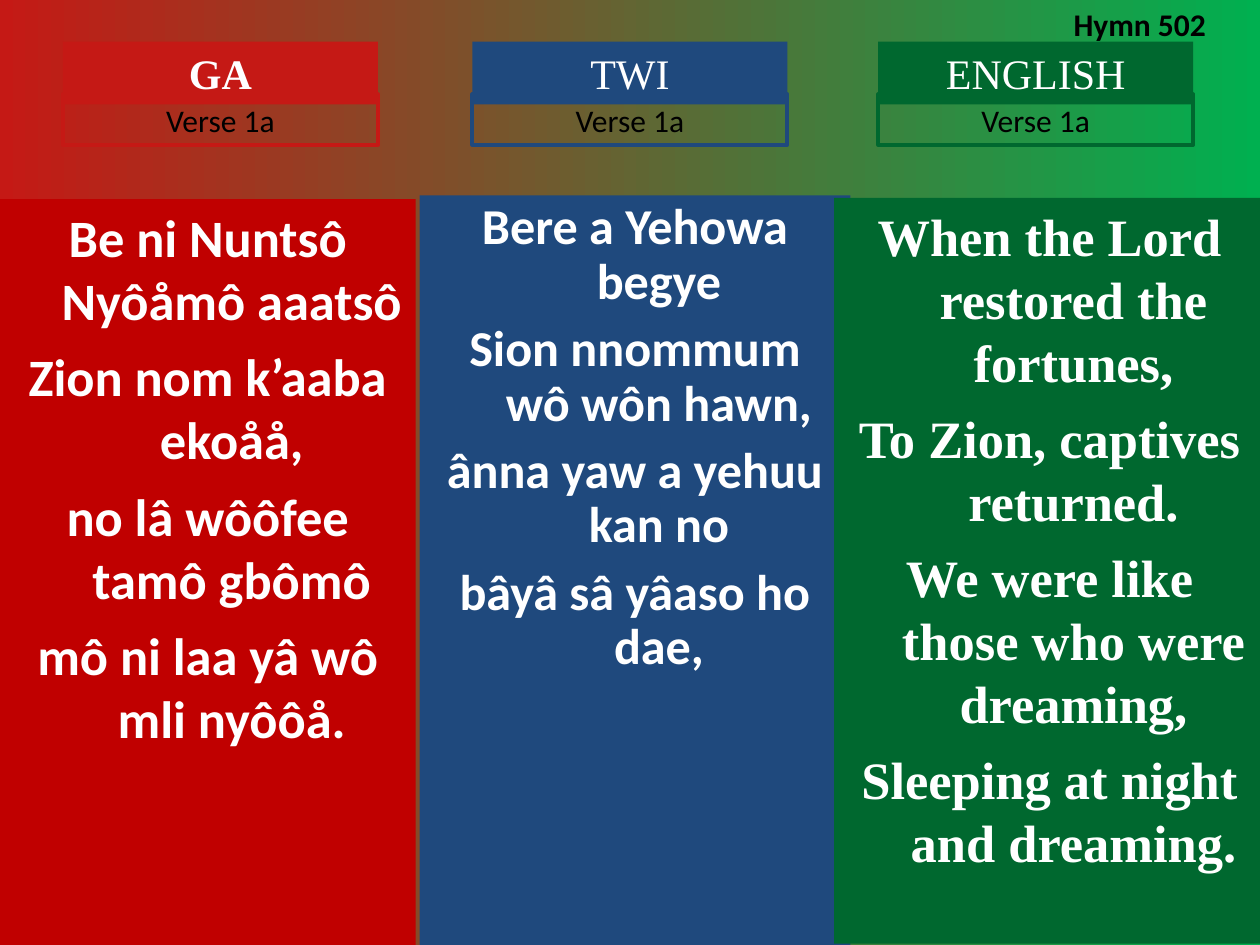
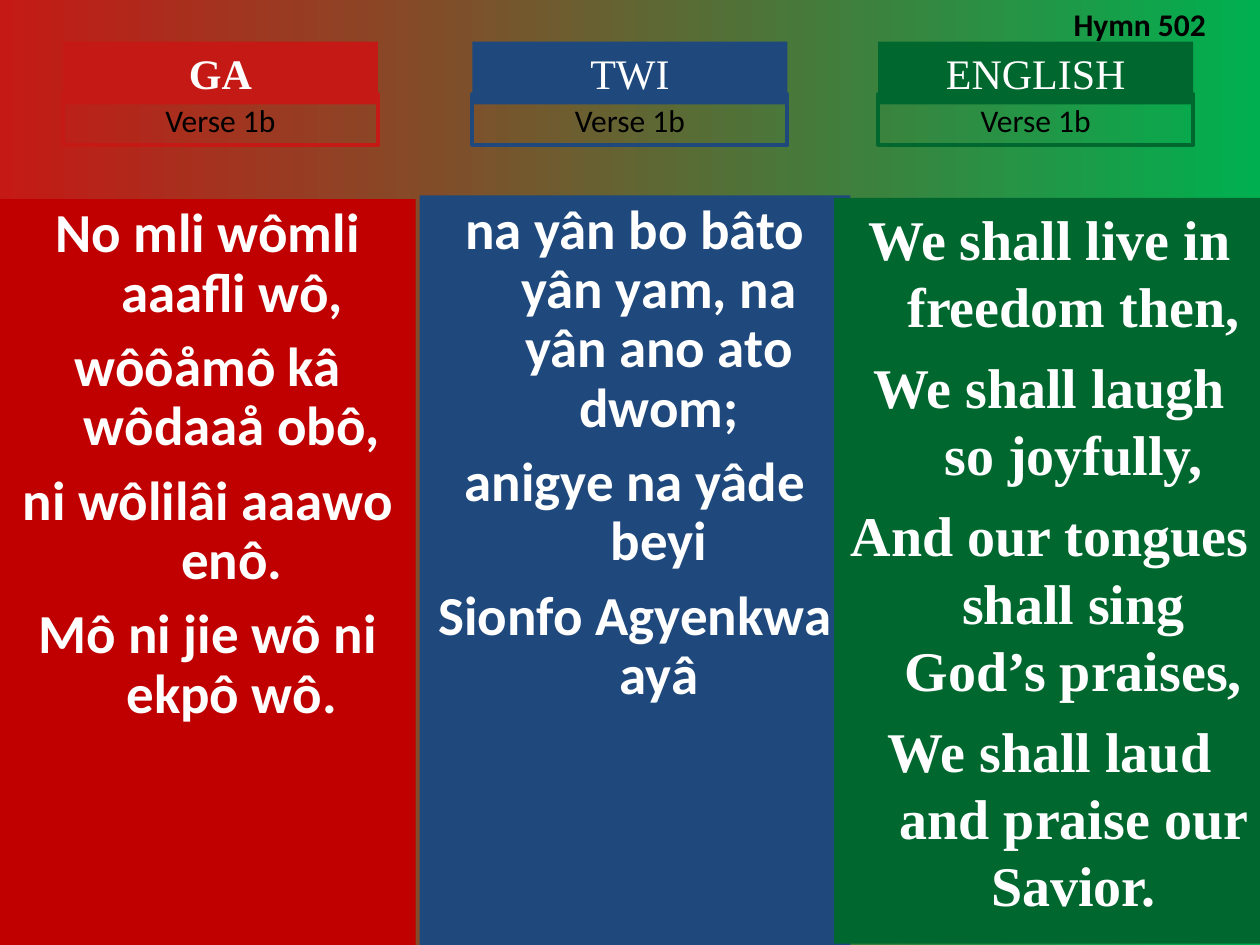
"""Build two hymn slides with the verses in three languages side by side."""
from dataclasses import dataclass

from pptx import Presentation
from pptx import util as u
from pptx.dml.color import RGBColor
from pptx.enum import shapes, text


@dataclass(frozen=True)
class Theme:
    """Colours, fonts and type sizes shared by the slides."""
    start: str = "C51915"
    end: str = "00B050"
    red: str = "C00000"
    blue: str = "1F497D"
    green: str = "00682F"
    white: str = "FFFFFF"
    black: str = "000000"
    sans: str = "Calibri"
    serif: str = "Times New Roman"
    head: float = 24
    small: float = 18
    rule: float = 2.25
    hang: float = 0.38


@dataclass(frozen=True)
class Lang:
    """One language column: its heading, colours, font and boxes."""
    name: str
    tint: str
    fill: str
    font: str
    bold: bool
    left: float
    body: tuple


T = Theme()

LANGS = (
    Lang("GA", T.start, T.red, T.sans, True, 0.5, (0, 1.58, 3.3, 5.92)),
    Lang("TWI", T.blue, T.blue, T.sans, False, 3.75, (3.33, 1.55, 3.42, 5.95)),
    Lang("ENGLISH", T.green, T.green, T.serif, False, 6.97, (6.62, 1.57, 3.42, 5.92)),
)

VERSES = (
    ("Verse 1a", (
        (30, 1, ("Be ni Nuntsô Nyôåmô aaatsô", "Zion nom k’aaba ekoåå,",
                 "no lâ wôôfee tamô gbômô", "mô ni laa yâ wô mli nyôôå.")),
        (28.7, 0.9, ("Bere a Yehowa begye", "Sion nnommum wô wôn hawn,",
                     "ânna yaw a yehuu kan no", "bâyâ sâ yâaso ho dae,")),
        (30, 1, ("When the Lord restored the fortunes,",
                 "To Zion, captives returned.",
                 "We were like those who were dreaming,",
                 "Sleeping at night and dreaming.")),
    )),
    ("Verse 1b", (
        (31.4, 0.9, ("No mli wômli aaafli wô,", "wôôåmô kâ wôdaaå obô,",
                     "ni wôlilâi aaawo enô.", "Mô ni jie wô ni ekpô wô.")),
        (31.4, 0.9, ("na yân bo bâto yân yam, na yân ano ato dwom;",
                     "anigye na yâde beyi", "Sionfo Agyenkwa ayâ")),
        (32, 1, ("We shall live in freedom then,", "We shall laugh so joyfully,",
                 "And our tongues shall sing God’s praises,",
                 "We shall laud and praise our Savior.")),
    )),
)


def rgb(code):
    """Turn a hex code into a colour."""
    return RGBColor.from_string(code)


def place(shape, box):
    """Move a shape to a box and start its text at the top."""
    shape.left, shape.top, shape.width, shape.height = map(u.Inches, box)
    frame = shape.text_frame
    frame.word_wrap = True
    frame.auto_size = text.MSO_AUTO_SIZE.NONE
    frame.vertical_anchor = text.MSO_ANCHOR.TOP


def write(para, words, size, font, color, bold=False, align=text.PP_ALIGN.CENTER):
    """Add one run to a paragraph."""
    para.alignment = align
    run = para.add_run()
    run.text = words
    run.font.size = u.Pt(size)
    run.font.name = font
    run.font.bold = bold
    run.font.color.rgb = rgb(color)


def block(slide, box, fill=None, line=None):
    """Draw a plain rectangle with an optional fill and line."""
    shape = slide.shapes.add_shape(shapes.MSO_SHAPE.RECTANGLE, 0, 0, 0, 0)
    place(shape, box)
    shape.shadow.inherit = False
    if fill:
        shape.fill.solid()
        shape.fill.fore_color.rgb = rgb(fill)
    else:
        shape.fill.background()
    if line:
        shape.line.color.rgb = rgb(line)
        shape.line.width = u.Pt(T.rule)
    else:
        shape.line.fill.background()
    return shape.text_frame


def lyrics(slide, lang, size, pitch, lines):
    """Fill a language panel with lines that hang from their first word."""
    frame = block(slide, lang.body, lang.fill)
    gap = round(size * (0.25 if pitch == 1 else 0.27), 1)
    for row, words in enumerate(lines):
        para = frame.add_paragraph() if row else frame.paragraphs[0]
        props = para._p.get_or_add_pPr()
        props.set("marL", str(u.Inches(T.hang)))
        props.set("indent", str(u.Inches(-T.hang)))
        para.line_spacing = pitch
        para.space_before = u.Pt(gap if row else 0)
        write(para, words, size, lang.font, T.white, True)


def header(slide, lang, verse):
    """Draw a language heading with the verse label below it."""
    name = block(slide, (lang.left, 0.33, 2.5, 0.5), lang.tint)
    write(name.paragraphs[0], lang.name, T.head, T.serif, T.white, lang.bold)
    label = block(slide, (lang.left, 0.75, 2.5, 0.4), line=lang.tint)
    write(label.paragraphs[0], verse, T.small, T.sans, T.black)


def title(slide, words):
    """Set the hymn number in the top right corner."""
    shape = slide.shapes.title
    place(shape, (8.42, -0.01, 1.5, 0.4))
    write(shape.text_frame.paragraphs[0], words, T.small, T.sans, T.black, True,
          text.PP_ALIGN.LEFT)


def page(deck, verse, parts):
    """Add one slide with all three languages of a verse."""
    slide = deck.slides.add_slide(deck.slide_layouts[5])
    title(slide, "Hymn 502")
    for lang, part in zip(LANGS, parts):
        lyrics(slide, lang, *part)
        header(slide, lang, verse)


def backdrop(deck):
    """Give the master a red to green gradient."""
    fill = deck.slide_master.background.fill
    fill.gradient()
    fill.gradient_angle = 0
    for stop, color in zip(fill.gradient_stops, (T.start, T.end)):
        stop.color.rgb = rgb(color)


def main():
    """Build and save the deck."""
    deck = Presentation()
    deck.slide_width, deck.slide_height = u.Inches(10), u.Inches(7.5)
    backdrop(deck)
    for verse, parts in VERSES:
        page(deck, verse, parts)
    deck.save("out.pptx")


if __name__ == "__main__":
    main()
